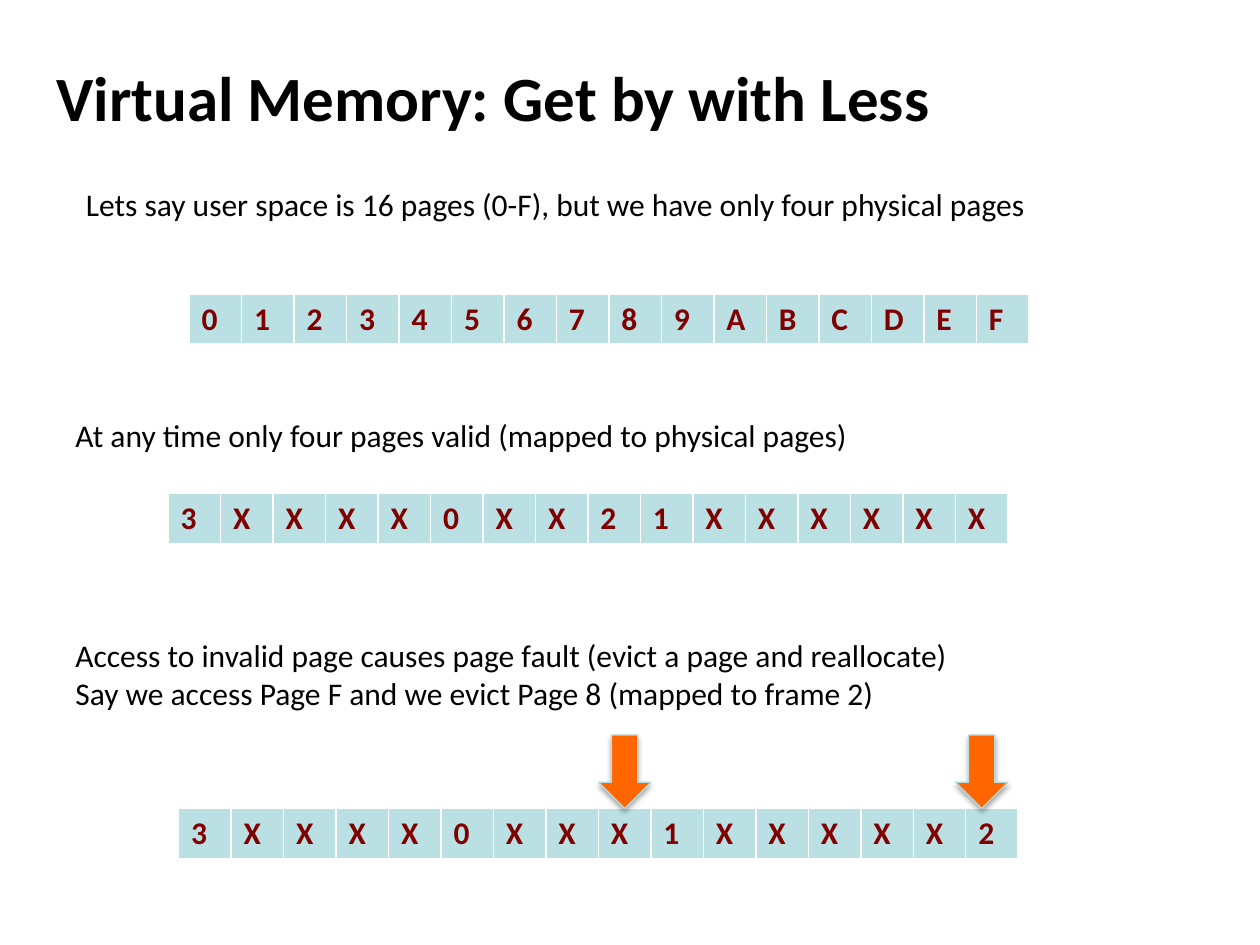
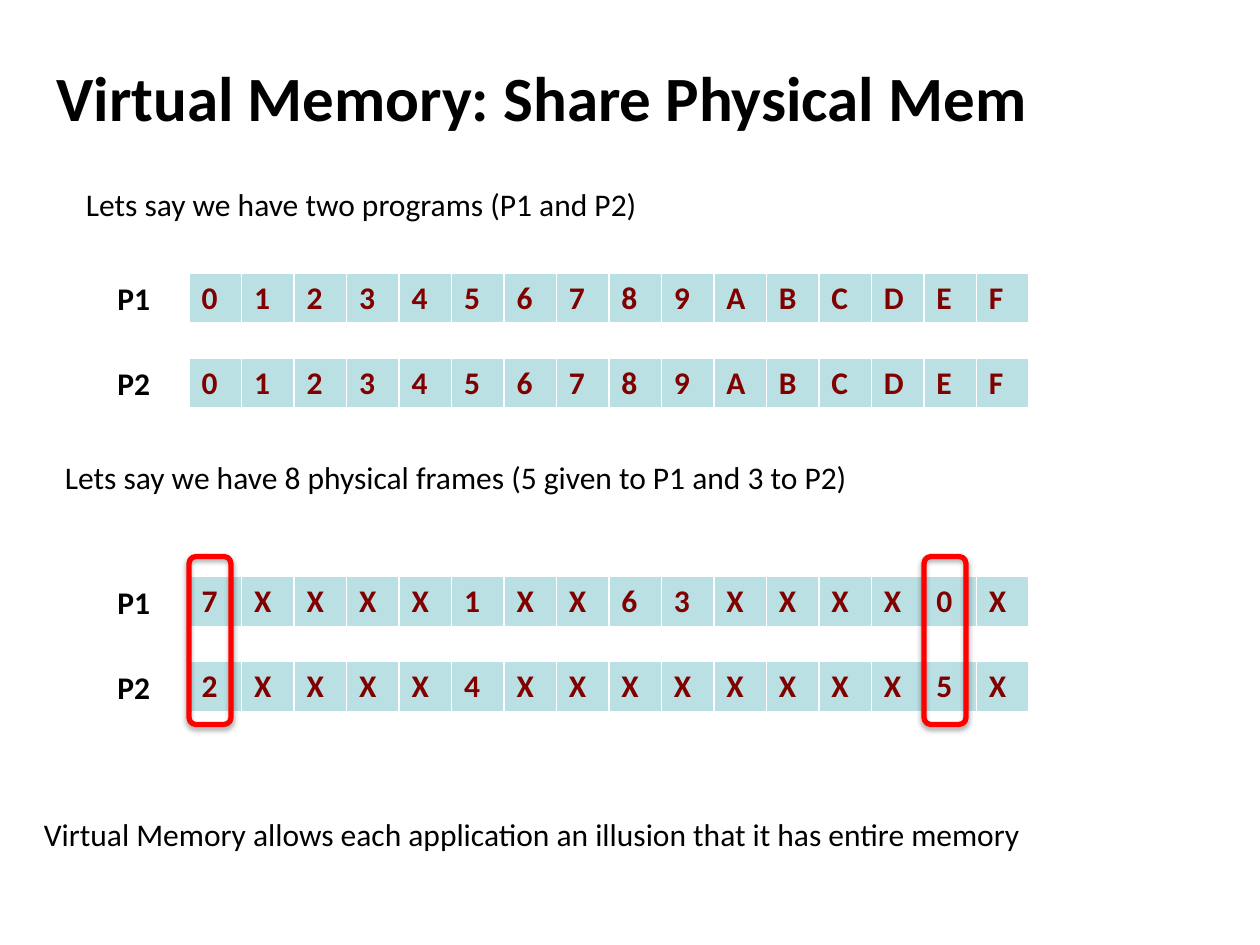
from pptx import Presentation
from pptx.dml.color import RGBColor
from pptx.enum.shapes import MSO_SHAPE as Shape
from pptx.enum.text import MSO_ANCHOR as Anchor
from pptx.oxml import parse_xml
from pptx.oxml.ns import nsdecls
from pptx.util import Inches, Pt

COLS, ROWS = 120, 90
PAGE_W, BAND_H = 5, 4.9
PAGES = "0123456789ABCDEF"


def rgb(value):
    return RGBColor.from_string(value)


class Deck:
    font = "Calibri"
    ink, page_ink, page_fill = "000000", "800000", "BBE0E3"
    arrow_fill, arrow_line, marker_line = "FF6600", "B6DCDF", "FF0000"
    borders = {"lnL": 1, "lnR": 1, "lnT": 1, "lnB": 3}

    def __init__(self):
        self.prs = Presentation()
        self.prs.slide_width, self.prs.slide_height = Inches(10), Inches(7.5)
        self.s = None

    def box(self, x, y, w, h):
        dx, dy = self.prs.slide_width / COLS, self.prs.slide_height / ROWS
        return round(x * dx), round(y * dy), round(w * dx), round(h * dy)

    def style(self, p, color, size=18, bold=False):
        p.font.name, p.font.size, p.font.bold = self.font, Pt(size), bold
        p.font.color.rgb = rgb(color)

    def slide(self, title):
        self.s = self.prs.slides.add_slide(self.prs.slide_layouts[6])
        tf = self.text(4.2, 4.2, 108, 10, title, size=36, bold=True)
        tf.vertical_anchor = Anchor.MIDDLE

    def text(self, x, y, w, h, *lines, size=18, bold=False):
        tf = self.s.shapes.add_textbox(*self.box(x, y, w, h)).text_frame
        tf.word_wrap = True
        tf.text = "\n".join(lines)
        for p in tf.paragraphs:
            self.style(p, self.ink, size, bold)
        return tf

    def band(self, x, y, pages, label=None):
        frame = self.s.shapes.add_table(
            1, len(pages), *self.box(x, y, PAGE_W * len(pages), BAND_H))
        table = frame.table
        table.first_row = table.horz_banding = False
        for cell, page in zip(table.iter_cells(), pages):
            cell.text = page
            self.style(cell.text_frame.paragraphs[0], self.page_ink, bold=True)
            self.border(cell)
            cell.fill.solid()
            cell.fill.fore_color.rgb = rgb(self.page_fill)
        if label:
            self.text(10, y, 7, BAND_H, label, bold=True)

    def border(self, cell):
        tc_pr = cell._tc.get_or_add_tcPr()
        for side, width in self.borders.items():
            tc_pr.append(parse_xml(
                f'<a:{side} {nsdecls("a")} w="{Pt(width)}"><a:solidFill>'
                f'<a:srgbClr val="FFFFFF"/></a:solidFill></a:{side}>'))

    def shape(self, kind, x, y, w, h, line, width, fill=None):
        sp = self.s.shapes.add_shape(kind, *self.box(x, y, w, h))
        sp.line.color.rgb, sp.line.width = rgb(line), Pt(width)
        if fill:
            sp.fill.solid()
            sp.fill.fore_color.rgb = rgb(fill)
        else:
            sp.fill.background()
        sp.shadow.inherit = False
        sp._element.spPr.find(".//{*}effectLst").append(parse_xml(
            f'<a:outerShdw {nsdecls("a")} blurRad="{Pt(3.1)}" dist="{Pt(1.8)}" '
            'dir="5400000" rotWithShape="0"><a:srgbClr val="000000">'
            '<a:alpha val="35000"/></a:srgbClr></a:outerShdw>'))

    def arrow(self, x, y):
        self.shape(Shape.DOWN_ARROW, x, y, PAGE_W, 7,
                   self.arrow_line, 0.75, self.arrow_fill)

    def marker(self, x, y):
        self.shape(Shape.ROUNDED_RECTANGLE, x, y, 4, 16, self.marker_line, 3)


def get_by_with_less(deck):
    deck.slide("Virtual Memory: Get by with Less")
    deck.text(7, 17, 108, 4.8, "Lets say user space is 16 pages (0-F), "
              "but we have only four physical pages")
    deck.band(18, 28, PAGES)
    deck.text(6, 39, 100, 4.8,
              "At any time only four pages valid (mapped to physical pages)")
    deck.band(16, 47, "3XXXX0XX21XXXXXX")
    deck.text(6, 60, 108, 15.7,
              "Access to invalid page causes page fault (evict a page and reallocate)",
              "Say we access Page F and we evict Page 8 (mapped to frame 2)")
    deck.band(17, 77, "3XXXX0XXX1XXXXX2")
    for x in (57, 91):
        deck.arrow(x, 70)


def share_physical_mem(deck):
    deck.slide("Virtual Memory: Share Physical Mem")
    deck.text(7, 17, 108, 4.8, "Lets say we have two programs (P1 and P2)")
    deck.text(5, 43, 100, 4.8,
              "Lets say we have 8 physical frames (5 given to P1 and 3 to P2)")
    bands = ((26, (PAGES, PAGES)),
             (54.9, ("7XXXX1XX63XXXX0X", "2XXXX4XXXXXXXX5X")))
    for top, programs in bands:
        for i, pages in enumerate(programs):
            deck.band(18, top + 8.1 * i, pages, f"P{i + 1}")
    for page in (0, 14):
        deck.marker(18 + PAGE_W * page, 53)
    deck.text(3, 77, 109, 4.8, "Virtual Memory allows each application "
              "an illusion that it has entire memory")


def main():
    deck = Deck()
    get_by_with_less(deck)
    share_physical_mem(deck)
    deck.prs.save("out.pptx")


if __name__ == "__main__":
    main()
